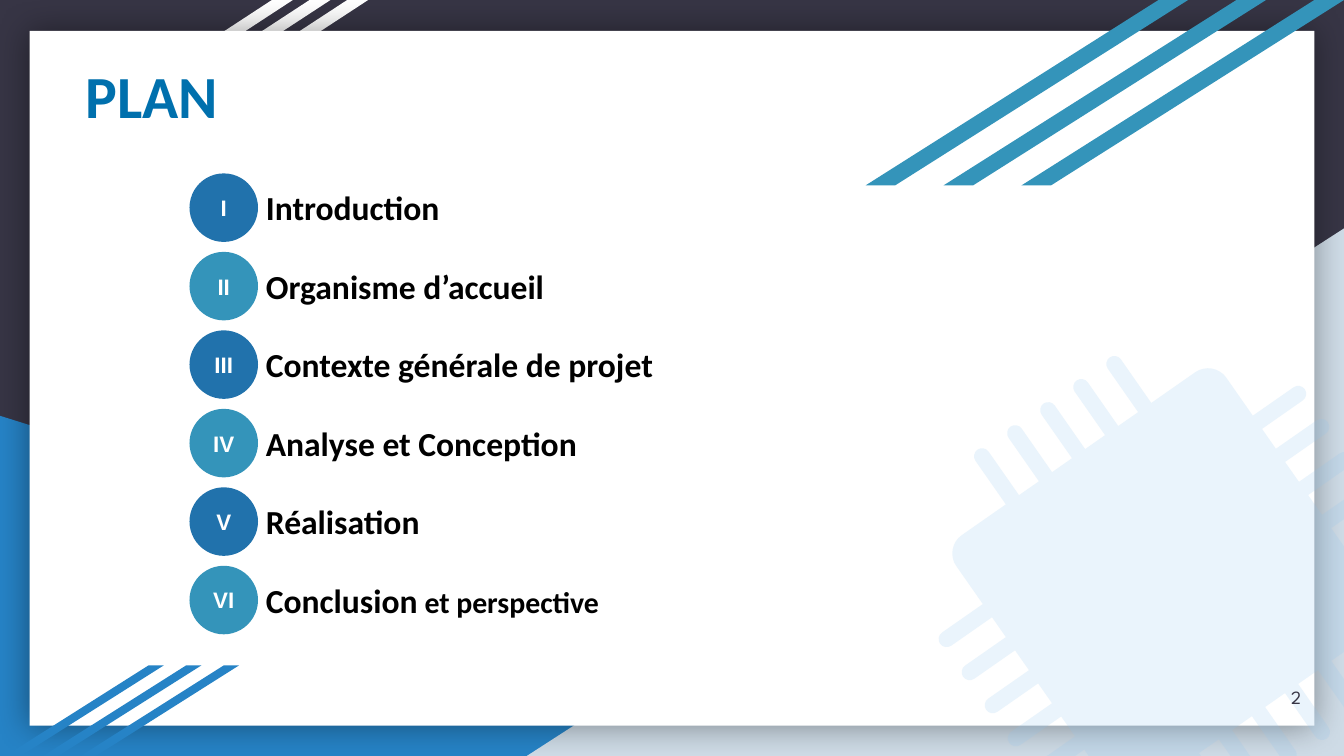
from math import cos, sin, radians
from lxml.etree import SubElement as Sub
from pptx import Presentation as Deck
from pptx.dml.color import RGBColor as Rgb
from pptx.enum.shapes import MSO_SHAPE as Kind
from pptx.enum.text import MSO_ANCHOR as Anchor, MSO_AUTO_SIZE as Fit, PP_ALIGN as Align
from pptx.oxml.ns import qn
from pptx.util import Inches, Pt

CELL = 0.1
COLS, ROWS = 100, 56.25
DARK, BLUE, TEAL, DEEP, PALE = "373545", "2683C6", "3494BA", "2172AC", "CEDBE6"
WHITE, BLACK = "FFFFFF", "000000"

deck = Deck()
deck.slide_width, deck.slide_height = Inches(COLS * CELL), Inches(ROWS * CELL)
slide = deck.slides.add_slide(deck.slide_layouts[6])


def tint(fill, color):
    fill.solid()
    fill.fore_color.rgb = Rgb.from_string(color)


def assign(item, values):
    for name, value in values.items():
        setattr(item, name, value)


def span(box):
    return [Inches(n * CELL) for n in box]


def plain(shape, color):
    tint(shape.fill, color)
    shape.line.fill.background()
    shape.shadow.inherit = False
    return shape


def draw(kind, box, color):
    return plain(slide.shapes.add_shape(kind, *span(box)), color)


def write(shape, runs, font, color, bold=True, align=Align.LEFT, **frame):
    text = shape.text_frame
    assign(text, {"word_wrap": True, **frame})
    para = text.paragraphs[0]
    para.alignment = align
    for words, size in runs:
        run = para.add_run()
        run.text = words
        assign(run.font, {"name": font, "size": Pt(size), "bold": bold})
        tint(run.font.fill, color)


def label(box, runs, font, color, **form):
    write(slide.shapes.add_textbox(*span(box)), runs, font, color, **form)


def stripes(box, gap, slant, color):
    x, y, w, h = box
    for i in range(3):
        bar = draw(Kind.PARALLELOGRAM, (x + i * gap, y, w, h), color)
        bar.adjustments[0] = slant


def card(box):
    panel = draw(Kind.RECTANGLE, box, WHITE)
    glow = panel._element.spPr.find(qn("a:effectLst"))
    shade = Sub(glow, qn("a:outerShdw"), blurRad=str(Pt(18)), dist="0", algn="ctr", rotWithShape="0")
    hue = Sub(shade, qn("a:srgbClr"), val=BLACK)
    Sub(hue, qn("a:alpha"), val="40000")


def frame(box):
    x, y, w, h = box
    tint(slide.background.fill, DARK)
    draw(Kind.RIGHT_TRIANGLE, (x, y + 0.55 * h, 0.806 * w, 0.45 * h), BLUE)
    wedge = draw(Kind.RIGHT_TRIANGLE, (x + 39.2, y + 17, w - 39.2, h - 17), PALE)
    wedge._element.spPr.xfrm.set("flipH", "1")
    stripes((x + 2.8, y, 19, 11.4), 2.8, 1.53, WHITE)
    card((x + 2.2, y + 2.3, w - 4.4, h - 4.55))
    stripes((x + 0.4, y + h - 6.75, 11.8, 6.75), 2.8, 1.58, BLUE)
    stripes((x + 64.4, y, 24, 13.8), 5.8, 1.58, TEAL)


def arc(x, y, r, start, end):
    turns = [radians(start + (end - start) * i / 8) for i in range(9)]
    return [(x + r * cos(t), y + r * sin(t)) for t in turns]


def edge(a, b, tip):
    pin, pitch, bend = 0.6, 3, 1.65
    dots = []
    for i in range(-2, 3):
        mid = i * pitch
        dots += [(mid - pin, -b), *arc(mid, pin - tip, pin, 180, 360), (mid + pin, -b)]
    return dots + arc(a - bend, bend - b, bend, -90, 0)


def chip(box):
    x, y, w, h = box
    a, b = 0.37 * w, 0.36 * h
    dots = []
    for turn in range(4):
        side = edge(b, a, w / 2) if turn % 2 else edge(a, b, h / 2)
        for _ in range(turn):
            side = [(-v, u) for u, v in side]
        dots += side
    dots = [(100 * u, 100 * v) for u, v in dots]
    pen = slide.shapes.build_freeform(*dots[0], scale=Inches(CELL) / 100)
    pen.add_line_segments(dots[1:], close=True)
    shape = plain(pen.convert_to_shape(*span((x + w / 2, y + h / 2))), "8FC4EF")
    shape.rotation = 325.1
    hue = shape._element.spPr.find(qn("a:solidFill"))[0]
    Sub(hue, qn("a:alpha"), val="18000")


def agenda(box, items):
    x, y, w, h = box
    dot = 5.1
    pitch = (h - dot) / (len(items) - 1)
    for i, (mark, *runs) in enumerate(items):
        top = y + i * pitch
        disc = draw(Kind.OVAL, (x, top, dot, dot), (DEEP, TEAL)[i % 2])
        write(disc, [(mark, 12)], "Arial", WHITE, align=Align.CENTER, word_wrap=False,
              vertical_anchor=Anchor.MIDDLE, margin_left=0, margin_right=0)
        label((x + 4.7, top + 0.55, w - 4.7, 4), runs, "Calibri", BLACK,
              auto_size=Fit.SHAPE_TO_FIT_TEXT)


frame((0, 0, COLS, ROWS))
label((5.4, 3.9, 12, 6.4), [("PLAN", 32)], "Calibri", "0070AD",
      word_wrap=False, auto_size=Fit.SHAPE_TO_FIT_TEXT)
chip((70.4, 27.1, 33.1, 32.5))
agenda((14.1, 12.9, 39.3, 34.3), [
    ("I", ("Introduction", 18)),
    ("II", ("Organisme d’accueil", 18)),
    ("III", ("Contexte générale de projet", 18)),
    ("IV", ("Analyse et Conception", 18)),
    ("V", ("Réalisation", 18)),
    ("VI", ("Conclusion", 18), (" et perspective", 16)),
])
inset = {"margin_" + side: Inches(CELL) for side in ("left", "right", "top", "bottom")}
label((91.8, 49.7, 6, 4.3), [("2", 10)], "League Spartan", DARK, bold=False,
      align=Align.RIGHT, vertical_anchor=Anchor.MIDDLE, **inset)
deck.save("out.pptx")
